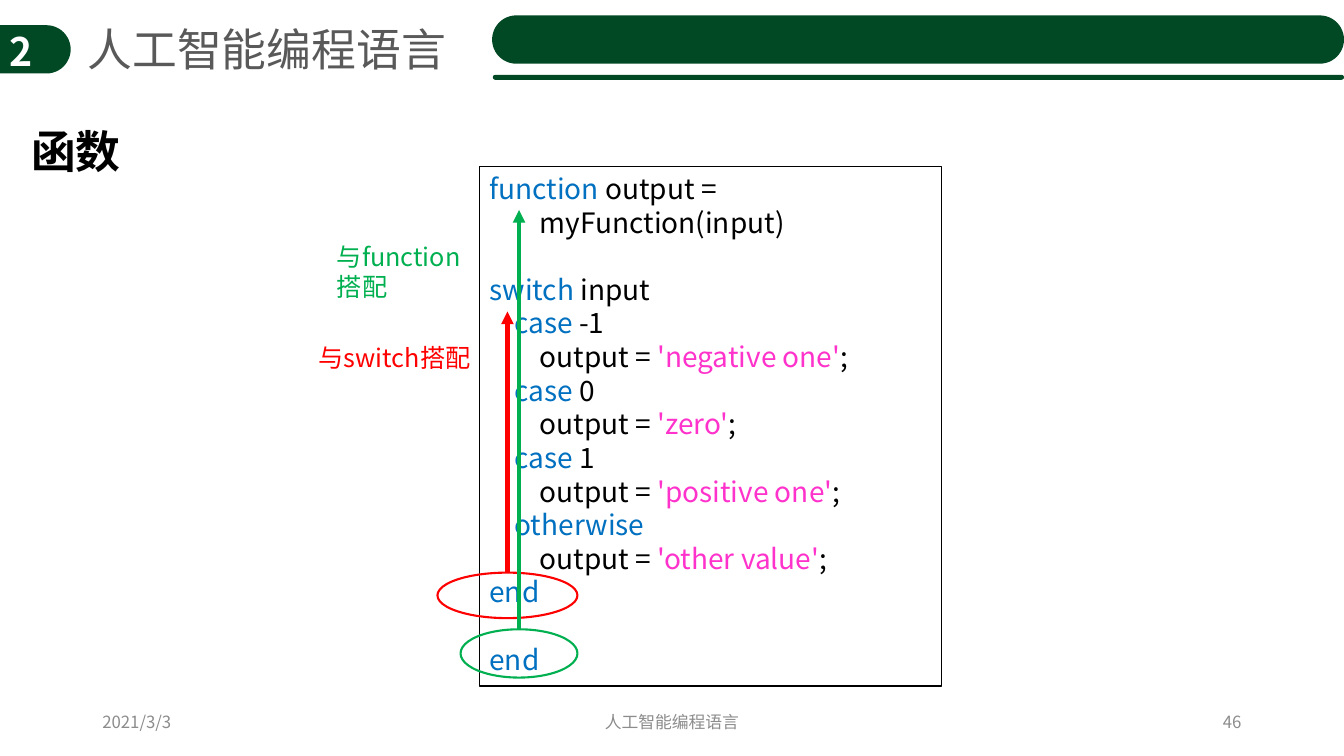
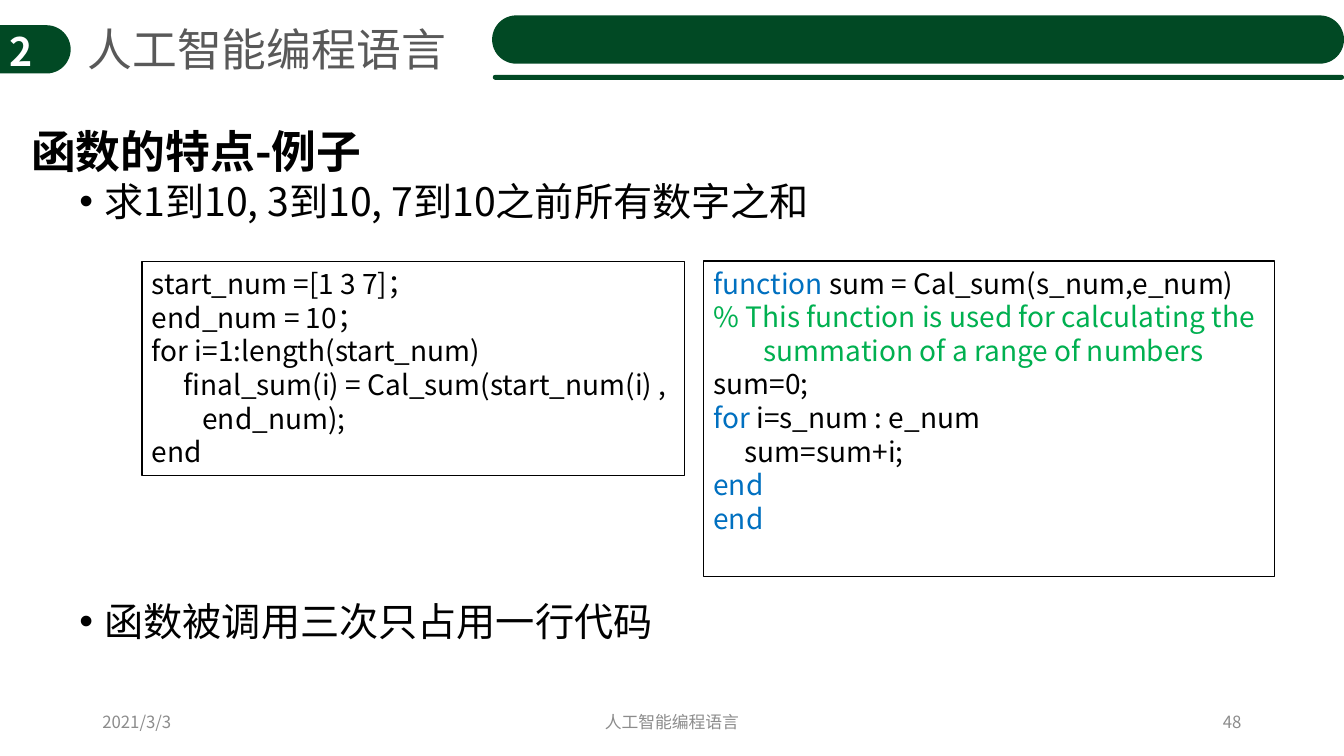
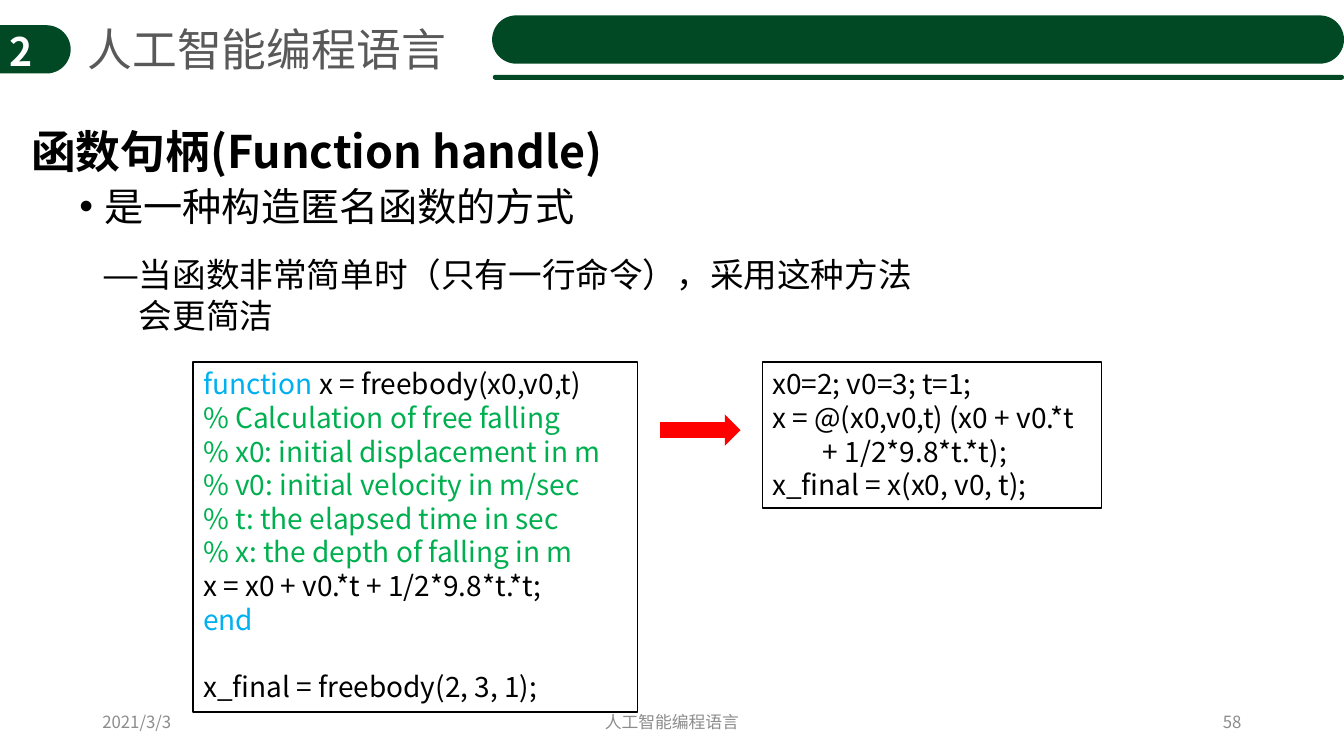
from lxml.etree import SubElement as Sub
from pptx import Presentation
from pptx.dml.color import RGBColor
from pptx.enum.shapes import MSO_CONNECTOR as Link, MSO_SHAPE as Form
from pptx.enum.text import MSO_ANCHOR as Anchor, MSO_AUTO_SIZE as Auto, PP_ALIGN as Align
from pptx.oxml.ns import qn
from pptx.util import Pt

FONT = "Noto Sans CJK SC"
TOPIC = "人工智能编程语言"
DATE = "2021/3/3"
DEEP, INK, GREY, PALE, WHITE = "014924", "000000", "595959", "8C8C8C", "FFFFFF"
BLUE, SKY, PINK, RED, GREEN = "0070C0", "00B0F0", "FF33CC", "FF0000", "00B050"


def tint(code):
    return RGBColor.from_string(code)


def put(item, **vals):
    for name, val in vals.items():
        setattr(item, name, val)


def blue(text):
    return text, BLUE


def note(text):
    return [(text, GREEN)]


class Deck:
    def __init__(self):
        self.show = Presentation()
        put(self.show, slide_width=Pt(960), slide_height=Pt(540))

    def page(self, head, num, plan):
        self.slide = self.show.slides.add_slide(self.show.slide_layouts[plan])
        self.shapes = self.slide.shapes
        title = self.shapes.title
        self.place(title, (15, 63.5, 916, 58))
        self.say(title, [head], 32, lead=60, bold=True)
        self.label((55.5, 11.5, 283, 46), [TOPIC], 32, GREY, lead=39)
        self.shape(Form.ROUNDED_RECTANGLE, (351.5, 11, 608.5, 34.5), DEEP, curve=0.5)
        self.shape(Form.ROUNDED_RECTANGLE, (352, 53.5, 608, 3.5), DEEP, curve=0.5)
        feet = ((66, 216, DATE, Align.LEFT), (318, 324, TOPIC, Align.CENTER),
                (678, 216, num, Align.RIGHT))
        for left, wide, words, side in feet:
            self.label((left, 500.5, wide, 29), [words], 12, PALE, lead=15,
                       side=side, hold=Anchor.MIDDLE)
        badge = self.shape(Form.ROUNDED_RECTANGLE, (-20, 18, 70.5, 34.5), DEEP, curve=0.5)
        self.say(badge, ["2"], 28, WHITE, lead=36, bold=True,
                 side=Align.CENTER, hold=Anchor.MIDDLE)

    def place(self, item, box):
        put(item, **dict(zip(("left", "top", "width", "height"), map(Pt, box))))

    def say(self, item, lines, size, ink=INK, lead=None, bold=False,
            side=Align.LEFT, hold=Anchor.TOP, hang=0):
        frame = item.text_frame
        put(frame, word_wrap=True, auto_size=Auto.NONE, vertical_anchor=hold)
        lead = lead or size * 1.2
        gap, first = 0, True
        for line in lines:
            if not line:
                gap += lead
                continue
            para = frame.paragraphs[0] if first else frame.add_paragraph()
            self.runs(para, line, size, ink, bold)
            put(para, alignment=side, line_spacing=Pt(lead), space_before=Pt(gap))
            if hang:
                self.indent(para, hang, hang)
            gap, first = 0, False

    def runs(self, para, line, size, ink, bold=False):
        for part in [line] if isinstance(line, str) else line:
            words, hue = (part, ink) if isinstance(part, str) else part
            run = para.add_run()
            run.text = words
            put(run.font, size=Pt(size), name=FONT, bold=bold)
            run.font.color.rgb = tint(hue)
            Sub(run._r.get_or_add_rPr(), qn("a:ea")).set("typeface", FONT)

    def indent(self, para, left, hang):
        props = para._p.get_or_add_pPr()
        props.set("marL", str(Pt(left)))
        props.set("indent", str(Pt(-hang)))
        return props

    def label(self, box, lines, size, ink=INK, **style):
        item = self.shapes.add_textbox(*map(Pt, box))
        self.say(item, lines, size, ink, **style)

    def shape(self, form, box, paint=None, edge=None, wide=1, curve=None):
        item = self.shapes.add_shape(form, *map(Pt, box))
        item.shadow.inherit = False
        if paint:
            item.fill.solid()
            item.fill.fore_color.rgb = tint(paint)
        else:
            item.fill.background()
        if edge:
            item.line.color.rgb = tint(edge)
            item.line.width = Pt(wide)
        else:
            item.line.fill.background()
        if curve is not None:
            item.adjustments[0] = curve
        return item

    def block(self, box, lines):
        item = self.shape(Form.RECTANGLE, box, edge=INK)
        self.say(item, lines, 20, hang=36)

    def points(self, high, rows):
        body = self.slide.placeholders[1]
        self.place(body, (49.5, 128, 620.5, high))
        frame = body.text_frame
        put(frame, word_wrap=True, auto_size=Auto.NONE, vertical_anchor=Anchor.TOP)
        for at, (words, mark, size, lead, gap, left, hang) in enumerate(rows):
            para = frame.add_paragraph() if at else frame.paragraphs[0]
            props = self.indent(para, left, hang)
            Sub(props, qn("a:buChar")).set("char", mark)
            put(para, alignment=Align.LEFT, line_spacing=Pt(lead), space_before=Pt(gap))
            self.runs(para, words, size, INK)

    def match(self, box, tip, ink, spot, lines):
        ring = self.shape(Form.OVAL, box, edge=ink, wide=1.5)
        mid = Pt(box[0] + box[2] / 2)
        link = self.shapes.add_connector(Link.STRAIGHT, mid, Pt(box[1]), mid, Pt(tip))
        link.begin_connect(ring, 0)
        link.line.color.rgb = tint(ink)
        link.line.width = Pt(3)
        props = link._element.spPr
        Sub(props.find(qn("a:ln")), qn("a:tailEnd")).set("type", "triangle")
        Sub(props, qn("a:effectLst"))
        self.label(spot, lines, 18, ink)


def branch(word, val):
    pad = " " * 4
    test = [pad, blue("case"), " " + val] if val else [pad, blue("otherwise")]
    return [test, [pad * 2 + "output = ", (f"'{word}'", PINK), ";"]]


def main():
    deck = Deck()

    deck.page("函数", "46", 5)
    deck.block((342.5, 119, 330, 371), [
        [blue("function"), " output = myFunction(input)"],
        "",
        [blue("switch"), " input"],
        *branch("negative one", "-1"),
        *branch("zero", "0"),
        *branch("positive one", "1"),
        *branch("other value", ""),
        [blue("end")],
        "",
        [blue("end")],
    ])
    deck.match((312.5, 409, 100, 32.5), 222.5, RED,
               (220.5, 241, 123, 29), ["与switch搭配"])
    deck.match((329, 449.5, 83.5, 34.5), 150, GREEN,
               (233.5, 168.5, 123, 51), ["与function", "搭配"])

    deck.page("函数的特点-例子", "48", 1)
    deck.points(345, [
        ("求1到10, 3到10, 7到10之前所有数字之和", "•", 28, 29, 0, 18, 18),
        ("函数被调用三次只占用一行代码", "•", 28, 29, 271, 18, 18),
    ])
    deck.block((101.5, 187, 387.5, 152.5), [
        "start_num =[1 3 7]；",
        "end_num = 10；",
        "for i=1:length(start_num)",
        "     final_sum(i) = Cal_sum(start_num(i) , end_num);",
        "end",
    ])
    deck.block((502.5, 186.5, 408, 225.5), [
        [blue("function "), "sum = Cal_sum(s_num,e_num)"],
        note("% This function is used for calculating the summation of a range of numbers"),
        "sum=0;",
        [blue("for "), "i=s_num : e_num"],
        "     sum=sum+i;",
        [blue("end")],
        [blue("end")],
    ])

    deck.page("函数句柄(Function handle)", "58", 1)
    deck.points(373, [
        ("是一种构造匿名函数的方式", "•", 28, 32, 0, 18, 18),
        ("当函数非常简单时（只有一行命令），采用这种方法 会更简洁", "—", 24, 28.8, 18, 42.5, 25),
    ])
    deck.block((138, 258.5, 317.5, 250), [
        [("function", SKY), " x = freebody(x0,v0,t)"],
        note("% Calculation of free falling"),
        note("% x0: initial displacement in m"),
        note("% v0: initial velocity in m/sec"),
        note("% t: the elapsed time in sec"),
        note("% x: the depth of falling in m"),
        "x = x0 + v0.*t + 1/2*9.8*t.*t;",
        [("end", SKY)],
        "",
        "x_final = freebody(2, 3, 1);",
    ])
    deck.block((544.5, 258.5, 242.5, 104.5), [
        "x0=2; v0=3; t=1;",
        "x = @(x0,v0,t) (x0 + v0.*t + 1/2*9.8*t.*t);",
        "x_final = x(x0, v0, t);",
    ])
    deck.shape(Form.RIGHT_ARROW, (471.5, 296, 57.5, 22.5), RED)

    deck.show.save("out.pptx")


if __name__ == "__main__":
    main()
